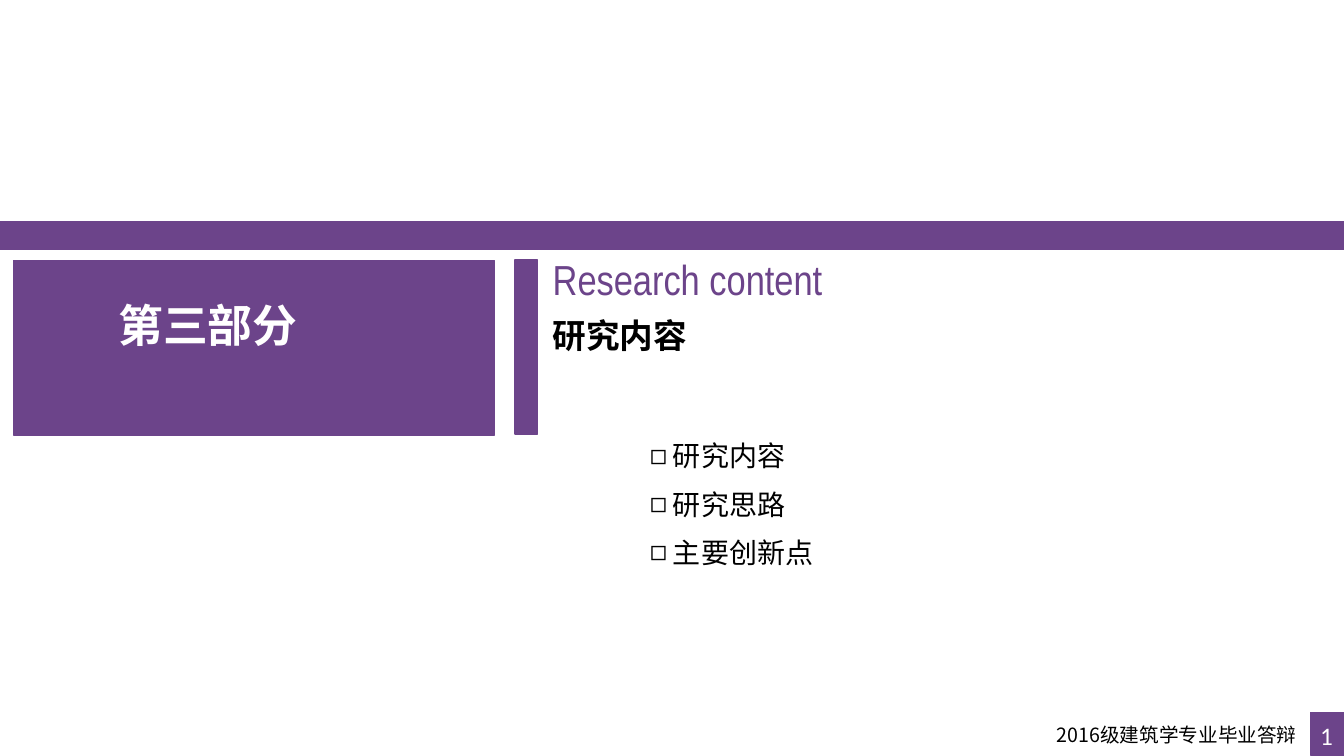
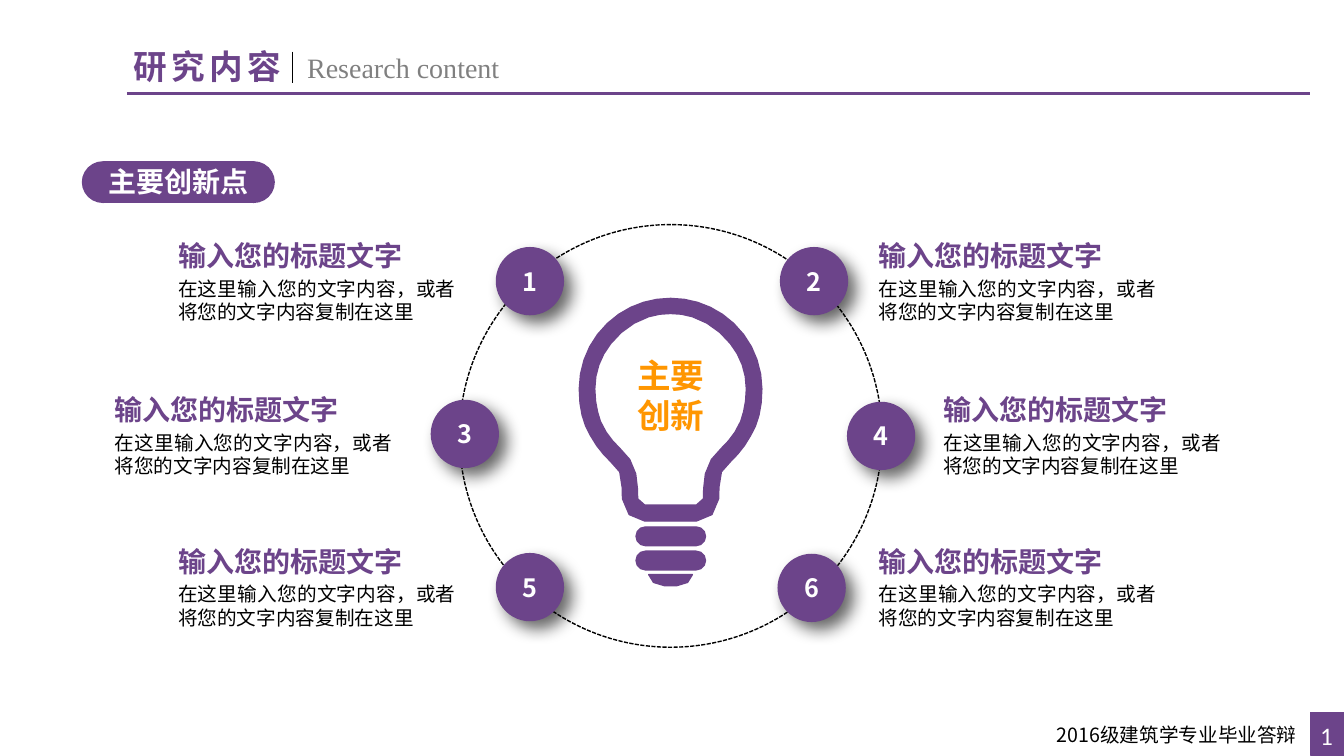
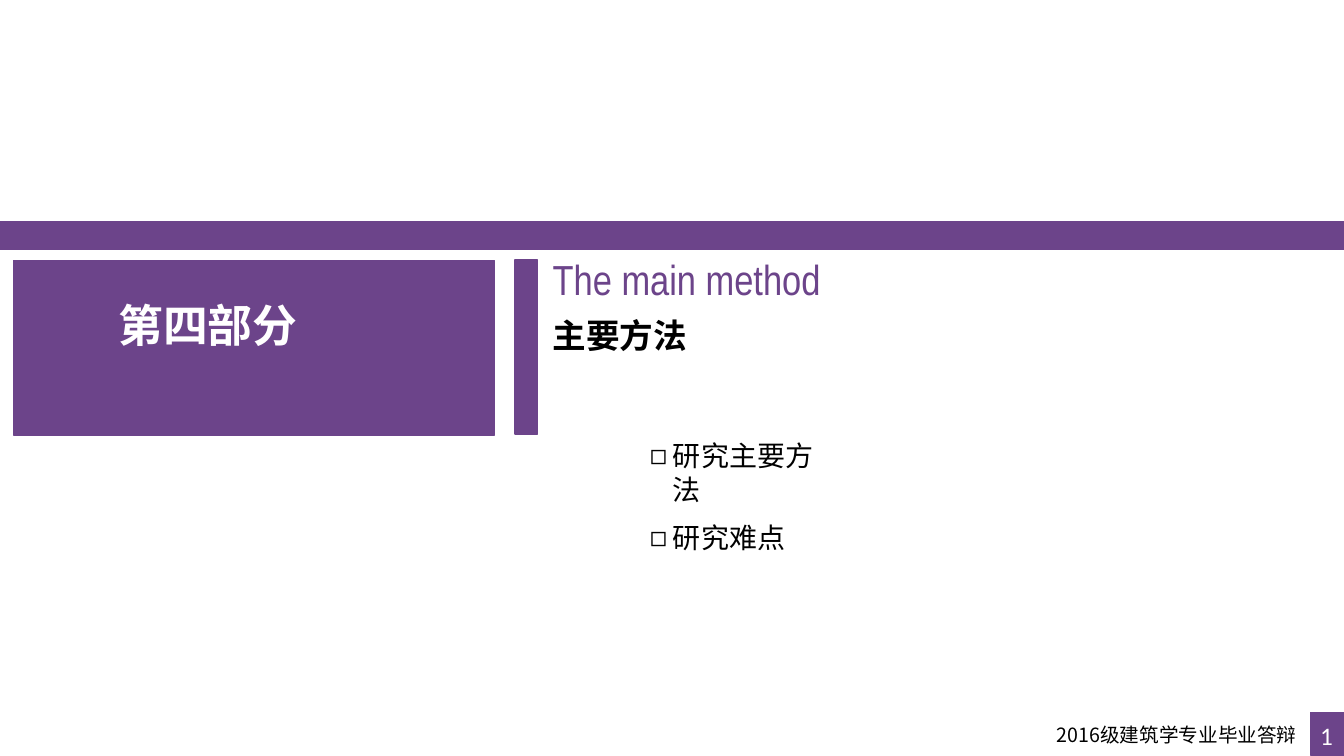
from math import ceil, dist

from lxml import etree
from pptx import Presentation
from pptx.dml.color import RGBColor
from pptx.enum.dml import MSO_LINE
from pptx.enum.shapes import MSO_CONNECTOR, MSO_SHAPE
from pptx.enum.text import MSO_ANCHOR, MSO_AUTO_SIZE, PP_ALIGN
from pptx.oxml.ns import qn
from pptx.util import Cm, Pt

RECTANGLE, ELLIPSE = MSO_SHAPE.RECTANGLE, MSO_SHAPE.OVAL
ROUNDED = MSO_SHAPE.ROUNDED_RECTANGLE
STRAIGHT = MSO_CONNECTOR.STRAIGHT
SHORT_DASH = MSO_LINE.SQUARE_DOT
LEFT, CENTER, JUSTIFY = PP_ALIGN.LEFT, PP_ALIGN.CENTER, PP_ALIGN.JUSTIFY
TOP, MIDDLE = MSO_ANCHOR.TOP, MSO_ANCHOR.MIDDLE
NO_FIT = MSO_AUTO_SIZE.NONE

COLORS = {"purple": "6C448A", "black": "000000", "white": "FFFFFF",
          "gray": "808080", "orange": "FF9600"}
SANS, SERIF = "Noto Sans CJK SC", "Times New Roman"
NARROW, DIGITS = "Arial Narrow", "Calibri"
NORMAL_INSETS, TIGHT_INSETS = (0.25, 0.13), (0.18, 0.1)
SLIDE_WIDTH, SLIDE_HEIGHT = 33.87, 19.05
TITLE_AND_BODY, TITLE_ONLY = 1, 5

# Right halves of the bulb outlines: start, then cubic segments.
# Each point is (distance from the axis, top), in cm.
BULB_AXIS = 16.9
GLASS_OUTSIDE = [
    (0, 7.52),
    (0.69, 7.52), (1.37, 7.82), (1.84, 8.43),
    (2.13, 8.81), (2.3, 9.3), (2.3, 9.8),
    (2.3, 10.31), (2.2, 10.67), (2.02, 10.97),
    (1.87, 11.25), (1.69, 11.46), (1.51, 11.63),
    (1.41, 11.73), (1.33, 11.84), (1.28, 11.89),
    (1.21, 12.11), (1.21, 12.47), (1.21, 12.57),
    (1.21, 12.88), (0.95, 13.13), (0.65, 13.13)]
GLASS_INSIDE = [
    (0, 7.9),
    (0.18, 7.9), (0.36, 7.92), (0.55, 7.98),
    (0.93, 8.1), (1.28, 8.36), (1.51, 8.66),
    (1.77, 8.99), (1.91, 9.37), (1.91, 9.8),
    (1.91, 10.13), (1.85, 10.39), (1.77, 10.62),
    (1.64, 10.92), (1.46, 11.13), (1.28, 11.3),
    (1.21, 11.4), (1.1, 11.51), (1.03, 11.58),
    (0.95, 11.68), (0.9, 11.79), (0.88, 11.94),
    (0.83, 12.19), (0.83, 12.47), (0.83, 12.57),
    (0.83, 12.65), (0.75, 12.73), (0.65, 12.73)]
BULB_TIP = [
    (0, 14.48),
    (0.2, 14.48), (0.4, 14.48), (0.55, 14.48),
    (0.55, 14.63), (0.36, 14.76), (0.15, 14.76)]

# Badge left and top, then text left and top, in cm.
INNOVATIONS = [
    (12.53, 6.26, 4.24, 5.89), (19.69, 6.26, 21.89, 5.89),
    (10.89, 10.11, 2.64, 9.77), (21.38, 10.16, 23.52, 9.77),
    (12.53, 13.97, 4.24, 13.59), (19.63, 13.99, 21.89, 13.59)]


def color(name):
    """Return the named colour."""
    return RGBColor.from_string(COLORS[name])


def format_paragraph(paragraph, size, color_name, bold=False, font=SANS,
                     align=LEFT):
    """Set the font and alignment of a whole paragraph."""
    paragraph.alignment = align
    paragraph.space_before = Pt(0)
    paragraph.font.size = Pt(size)
    paragraph.font.bold = bold
    paragraph.font.color.rgb = color(color_name)
    paragraph.font.name = font
    properties = paragraph.font._element
    etree.SubElement(properties, qn("a:ea")).set("typeface", font)


def prepare_frame(frame, insets=NORMAL_INSETS, anchor=TOP):
    """Set wrapping, insets and anchor of a text frame."""
    frame.auto_size = NO_FIT
    frame.word_wrap = True
    frame.vertical_anchor = anchor
    frame.margin_left = frame.margin_right = Cm(insets[0])
    frame.margin_top = frame.margin_bottom = Cm(insets[1])


def place(shape, left, top, width, height):
    """Move and size a placeholder."""
    shape.left, shape.top = Cm(left), Cm(top)
    shape.width, shape.height = Cm(width), Cm(height)


def add_text(slide, box, text, size, color_name, insets=NORMAL_INSETS,
             **style):
    """Add a text box with one paragraph."""
    frame = slide.shapes.add_textbox(*map(Cm, box)).text_frame
    prepare_frame(frame, insets)
    frame.text = text
    format_paragraph(frame.paragraphs[0], size, color_name, **style)


def paint(shape, line_width=1):
    """Give a shape the purple fill and line, without a shadow."""
    shape.shadow.inherit = False
    shape.fill.solid()
    shape.fill.fore_color.rgb = color("purple")
    shape.line.color.rgb = color("purple")
    shape.line.width = Pt(line_width)


def add_purple(slide, kind, box, line_width=1):
    """Add a purple preset shape."""
    shape = slide.shapes.add_shape(kind, *map(Cm, box))
    paint(shape, line_width)
    if kind == ROUNDED:
        shape.adjustments[0] = 0.5
    return shape


def add_line(slide, start, end, color_name, width):
    """Add a straight line without a shadow."""
    line = slide.shapes.add_connector(STRAIGHT, *map(Cm, start + end))
    line.line.color.rgb = color(color_name)
    line.line.width = Pt(width)
    etree.SubElement(line._element.spPr, qn("a:effectLst"))


def add_shadow(shape):
    """Add a soft shadow to the lower right."""
    effects = shape._element.spPr.find(qn("a:effectLst"))
    shadow = etree.SubElement(
        effects, qn("a:outerShdw"), blurRad=str(Pt(12)), dist=str(Pt(8)),
        dir=str(45 * 60000), algn="tl", rotWithShape="0")
    black = etree.SubElement(shadow, qn("a:srgbClr"), val=COLORS["black"])
    etree.SubElement(black, qn("a:alpha"), val="60000")


def trace_outline(half, spacing=0.4):
    """Sample the cubic segments and mirror them about the bulb axis."""
    right = [half[0]]
    for index in range(0, len(half) - 1, 3):
        corners = half[index:index + 4]
        steps = ceil(dist(corners[0], corners[3]) / spacing)
        for step in range(1, steps + 1):
            t = step / steps
            weights = ((1 - t) ** 3, 3 * t * (1 - t) ** 2,
                       3 * t * t * (1 - t), t ** 3)
            right.append(tuple(
                sum(weight * corner[axis]
                    for weight, corner in zip(weights, corners))
                for axis in (0, 1)))
    left = [(-x, y) for x, y in reversed(right[1:])]
    return [(Cm(BULB_AXIS + x), Cm(y)) for x, y in right + left]


def add_outlines(slide, *halves):
    """Add one purple freeform with a contour for each half outline."""
    first, *others = [trace_outline(half) for half in halves]
    builder = slide.shapes.build_freeform(*first[0])
    builder.add_line_segments(first[1:], close=True)
    for points in others:
        builder.move_to(*points[0])
        builder.add_line_segments(points[1:], close=True)
    paint(builder.convert_to_shape())


def add_bulb(slide):
    """Draw the light bulb with its caption."""
    add_outlines(slide, GLASS_OUTSIDE, GLASS_INSIDE)
    for top in (13.28, 13.89):
        add_purple(slide, ROUNDED, (16.03, top, 1.75, 0.47))
    add_outlines(slide, BULB_TIP)
    add_text(slide, (15.7, 8.81, 2.41, 2.31), "主要创新", 24, "orange",
             bold=True, align=CENTER)


def add_footer(slide):
    """Add the footer text and the page number."""
    add_purple(slide, RECTANGLE, (33.03, 17.96, 0.84, 1.07))
    add_text(slide, (26.38, 18.08, 6.9, 0.9), "2016级建筑学专业毕业答辩",
             14, "black")
    add_text(slide, (33.02, 18.03, 0.64, 1.02), "1", 18, "white",
             font=DIGITS)


def set_title(slide, box, text, color_name, insets=NORMAL_INSETS):
    """Place and format the title."""
    title = slide.shapes.title
    place(title, *box)
    prepare_frame(title.text_frame, insets)
    title.text_frame.text = text
    paragraph = title.text_frame.paragraphs[0]
    format_paragraph(paragraph, 24, color_name, True)
    return paragraph


def set_topics(slide, topics):
    """Fill the body placeholder with a list with square bullets."""
    body = slide.placeholders[1]
    place(body, 16.2, 10.96, 4.6, 1.22 * len(topics))
    prepare_frame(body.text_frame, TIGHT_INSETS)
    body.text_frame.text = "\n".join(topics)
    for paragraph in body.text_frame.paragraphs:
        properties = paragraph._p.get_or_add_pPr()
        properties.set("marL", str(Cm(0.58)))
        properties.set("indent", str(-Cm(0.58)))
        etree.SubElement(properties, qn("a:buChar")).set("char", "◻")
        format_paragraph(paragraph, 20, "black")
        paragraph.space_after = Pt(10.5)


def add_section_slide(presentation, part, english, title, topics):
    """Add a slide that opens a part of the talk."""
    slide = presentation.slides.add_slide(
        presentation.slide_layouts[TITLE_AND_BODY])
    add_purple(slide, RECTANGLE, (0.34, 6.56, 12.12, 4.4))
    add_purple(slide, RECTANGLE, (0, 5.59, SLIDE_WIDTH, 0.7))
    add_purple(slide, RECTANGLE, (12.98, 6.55, 0.56, 4.39))
    add_text(slide, (2.8, 7.39, 5.74, 2.72), part, 32, "white",
             TIGHT_INSETS, bold=True)
    add_text(slide, (13.75, 6.29, 8.15, 1.47), english, 30, "purple",
             TIGHT_INSETS, font=NARROW)
    set_title(slide, (13.75, 7.83, 3.81, 1.22), title, "black", TIGHT_INSETS)
    set_topics(slide, topics)
    add_footer(slide)


def add_heading(slide, title, english):
    """Add the ruled heading of a content slide."""
    paragraph = set_title(slide, (3.12, 1.02, 4.6, 1.27), title, "purple")
    paragraph.font._element.set("spc", "300")
    add_text(slide, (7.49, 1.14, 5.38, 1.12), english, 20, "gray", font=SERIF)
    add_line(slide, (3.2, 2.36), (33.02, 2.36), "purple", 2.25)
    add_line(slide, (7.37, 1.3), (7.37, 2.08), "black", 0.5)


def add_topic_pill(slide, text):
    """Add a pill with round ends and its label."""
    add_purple(slide, RECTANGLE, (2.62, 4.08, 3.78, 1.02))
    for left in (2.08, 5.87):
        add_purple(slide, ELLIPSE, (left, 4.08, 1.04, 1.02))
    add_text(slide, (1.12, 4.01, 6.78, 1.14), text, 20, "white",
             bold=True, align=CENTER)


def add_badge(slide, left, top, text):
    """Add a round badge with a shadow and a centred number."""
    badge = add_purple(slide, ELLIPSE, (left, top, 1.65, 1.65), 2)
    add_shadow(badge)
    prepare_frame(badge.text_frame, (0, 0), MIDDLE)
    badge.text_frame.text = text
    format_paragraph(badge.text_frame.paragraphs[0], 18, "white", True,
                     align=CENTER)


def add_innovation(slide, number, badge_left, badge_top, left, top):
    """Add a numbered badge with its heading and text."""
    add_badge(slide, badge_left, badge_top, str(number))
    add_text(slide, (left, top, 7.5, 1.12), "输入您的标题文字", 20,
             "purple", bold=True)
    add_text(slide, (left, top + 0.95, 7.5, 1.45),
             "在这里输入您的文字内容，或者将您的文字内容复制在这里", 14,
             "black", align=JUSTIFY)


def add_innovation_slide(presentation):
    """Add the slide with six innovations around a bulb."""
    slide = presentation.slides.add_slide(
        presentation.slide_layouts[TITLE_ONLY])
    add_heading(slide, "研究内容", "Research content")
    add_topic_pill(slide, "主要创新点")
    ring = add_purple(slide, ELLIPSE, (11.58, 5.66, 10.65, 10.65))
    ring.fill.background()
    ring.line.color.rgb = color("black")
    ring.line.dash_style = SHORT_DASH
    for number, position in enumerate(INNOVATIONS, 1):
        add_innovation(slide, number, *position)
    add_bulb(slide)
    add_footer(slide)


def main():
    """Build and save the presentation."""
    presentation = Presentation()
    presentation.slide_width = Cm(SLIDE_WIDTH)
    presentation.slide_height = Cm(SLIDE_HEIGHT)
    add_section_slide(presentation, "第三部分", "Research content",
                      "研究内容", ["研究内容", "研究思路", "主要创新点"])
    add_innovation_slide(presentation)
    add_section_slide(presentation, "第四部分", "The main method",
                      "主要方法", ["研究主要方法", "研究难点"])
    presentation.save("out.pptx")


main()
